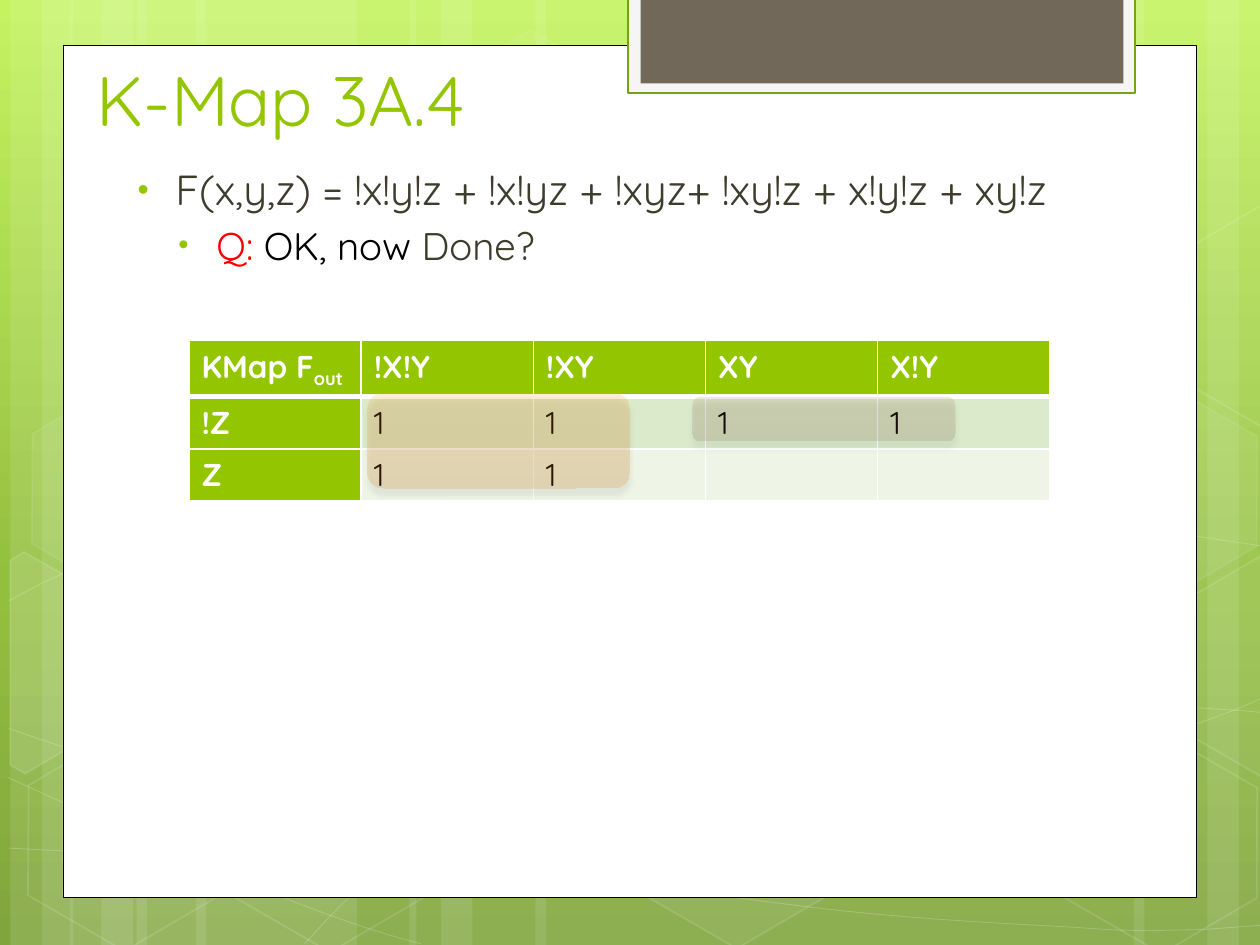
from lxml import etree
from pptx import Presentation
from pptx.dml.color import RGBColor
from pptx.enum import shapes as kinds, text as txt
from pptx.oxml.ns import qn
from pptx.util import Pt

FONT = "Quicksand"
WHITE = RGBColor(0xFF, 0xFF, 0xFF)
BLACK = RGBColor(0x00, 0x00, 0x00)
RED = RGBColor(0xFF, 0x00, 0x00)
LIME = RGBColor(0x94, 0xC6, 0x00)
OLIVE = RGBColor(0x3E, 0x3D, 0x2D)
TAB_PALE = RGBColor(0xF5, 0xF5, 0xF5)
TAB_EDGE = RGBColor(0x74, 0xA5, 0x10)
TAB_BROWN = RGBColor(0x71, 0x68, 0x5A)
ROW_TINTS = [RGBColor(0xDC, 0xEA, 0xCC), RGBColor(0xEE, 0xF5, 0xE7)]
SKY = [(0, RGBColor(0xC3, 0xF3, 0x5F)), (62, RGBColor(0x93, 0xBF, 0x3F)), (100, RGBColor(0x81, 0xA5, 0x3E))]
ORANGE = [(0, RGBColor(0xFE, 0xA0, 0x22)), (100, RGBColor(0xDB, 0x82, 0x0A))]
BROWN = [(0, RGBColor(0x95, 0x6B, 0x43)), (100, RGBColor(0x7D, 0x55, 0x2F))]

STRIPS = [(78, 126), (6, 36), (24, 60), (112, 126), (40, 36), (58, 60), (528, 126),
          (690, 36), (648, 60), (306, 222), (234, 36), (252, 60)]
WAVES = [
    [(5, 484.6), (43.9, 486.7), (82.8, 488.9), (136.8, 488.2), (190.8, 487.4), (257.8, 486), (329.8, 478.8),
     (401.8, 471.6), (504, 457.9), (570.2, 444.2), (635.8, 430.6), (703.4, 409), (725, 396.7)],
    [(5, 343.4), (25.9, 331.9), (46.8, 321.1), (87.1, 310.3), (128.2, 299.5), (186.5, 283.7), (249.8, 278.6),
     (313.9, 273.6), (391.7, 272.9), (470.9, 278.6), (550.1, 284.4), (681.8, 306.7), (725, 312.5)],
    [(4.3, 444.2), (91.4, 483.8), (177.8, 523.4), (240.5, 539.3)],
    [(5, 416.2), (27.4, 424.1), (50.4, 432), (92.2, 443.5), (133.9, 454.3), (196.6, 472.3), (257, 484.6),
     (316.8, 496.8), (392.4, 509.8), (452.2, 517), (511.9, 524.9), (576, 527.8), (614.2, 529.9),
     (651.6, 532.8), (661.7, 531.4), (680.4, 531.4), (699.1, 530.6), (712.1, 529.2), (725, 528.5)],
    [(174.2, 539.3), (187.2, 524.9), (200.2, 510.5), (217.4, 497.5), (234.7, 484.6), (259.2, 470.2), (279.4, 460.1),
     (299.5, 450), (311.8, 445.7), (338.4, 438.5), (364.3, 431.3), (412.6, 421.2), (437.8, 416.2),
     (463.7, 411.1), (467.3, 411.1), (489.6, 409.7), (511.9, 407.5), (547.2, 405.4), (571.7, 404.6),
     (596.9, 403.9), (637.9, 404.6), (637.9, 404.6), (654, 404.6), (670, 404.6), (686.2, 404.6),
     (699.1, 405.4), (711.4, 406.1), (717.8, 406.8), (724.3, 407.5), (722.2, 406.8), (724.3, 407.5)],
]
HEXAGONS = [(240.5, 25.9, 4, 8), (357.8, 424.1, 6, 12), (7.9, 425.5, 0, 12), (10.1, 224.6, 7, 8),
            (125.3, 426.2, 0, 12), (542.2, 326.2, 10, 12), (600.5, 427, 0, 12), (600.5, 226.1, 7, 8)]
CUT_HEXAGONS = [
    ([(5.8, 320.4), (13.7, 315.4), (69.1, 347), (68.4, 410.4), (14.4, 442.1), (5.8, 437)], 10),
    ([(666.7, 349.2), (720.7, 317.5), (726.5, 321.1), (726.5, 441.4), (721.4, 444.2), (666.7, 412.6)], 4),
    ([(666.7, 149), (720.7, 117.4), (727.2, 121), (726.5, 241.2), (721.4, 244.1), (666.7, 212.4)], 0),
]
KMAP = [["KMap F", "!X!Y", "!XY", "XY", "X!Y"], ["!Z", "1", "1", "1", "1"], ["Z", "1", "1", "", ""]]


def add(parent, tag, **attributes):
    """Append a drawing element with the given attributes."""
    return etree.SubElement(parent, qn(tag), {key: str(value) for key, value in attributes.items()})


def set_gradient(fill, holder, stops, opacity=100):
    """Give a fill a top-to-bottom gradient."""
    fill.gradient()
    fill.gradient_angle = 270
    stop_list = holder.find(".//" + qn("a:gsLst"))
    for old in list(stop_list):
        stop_list.remove(old)
    for position, color in stops:
        tint = add(add(stop_list, "a:gs", pos=position * 1000), "a:srgbClr", val=color)
        if opacity < 100:
            add(tint, "a:alpha", val=opacity * 1000)


def paint(shape, fill=None, opacity=100, line=None, width=1, line_opacity=100):
    """Set fill, outline and their opacities, without shadow."""
    shape.shadow.inherit = False
    for target, color, amount, route in ((shape.fill, fill, opacity, "a:solidFill"),
                                         (shape.line.fill, line, line_opacity, "a:ln/a:solidFill")):
        if color is None or not amount:
            target.background()
            continue
        target.solid()
        target.fore_color.rgb = color
        if amount < 100:
            solid = shape.element.spPr.find("/".join(qn(step) for step in route.split("/")))
            add(solid[0], "a:alpha", val=amount * 1000)
    if line is not None:
        shape.line.width = Pt(width)


def add_preset(slide, kind, left, top, width, height):
    """Add a preset shape measured in points."""
    return slide.shapes.add_shape(kind, Pt(left), Pt(top), Pt(width), Pt(height))


def add_outline(slide, points, left, top, close):
    """Add a freeform through points offset from a corner."""
    corners = [(Pt(left + x), Pt(top + y)) for x, y in points]
    builder = slide.shapes.build_freeform(*corners[0], scale=1.0)
    builder.add_line_segments(corners[1:], close=close)
    return builder.convert_to_shape()


def add_wave(slide, points, left, top):
    """Add an open chain of cubic curves."""
    wave = add_outline(slide, points, left, top, False)
    segments = list(wave.element.iter(qn("a:lnTo")))
    outline = segments[0].getparent()
    for start in range(0, len(segments), 3):
        curve = add(outline, "a:cubicBezTo")
        for segment in segments[start:start + 3]:
            curve.append(segment[0])
            outline.remove(segment)
    return wave


def draw_backdrop(slide, left, top, width, height):
    """Draw the green backdrop with strips, waves and hexagons."""
    set_gradient(slide.background.fill, slide.element, SKY)
    for x, strip_width in STRIPS:
        paint(add_preset(slide, kinds.MSO_SHAPE.RECTANGLE, left + x, top, strip_width, height), WHITE, 10)
    for points in WAVES:
        paint(add_wave(slide, points, left, top), line=WHITE, width=0.5, line_opacity=20)
    for x, y, opacity, edge in HEXAGONS:
        hexagon = add_preset(slide, kinds.MSO_SHAPE.HEXAGON, left + x, top + y, 126, 109.4)
        hexagon.adjustments[0] = 0.285
        hexagon.rotation = 30
        paint(hexagon, WHITE, opacity, WHITE, 1, edge)
    for corners, opacity in CUT_HEXAGONS:
        paint(add_outline(slide, corners, left, top, True), WHITE, opacity, WHITE, 1, 12)


def draw_panel(slide, left, top, width, height):
    """Draw the white page and the tab at its top edge."""
    rectangle = kinds.MSO_SHAPE.RECTANGLE
    paint(add_preset(slide, rectangle, left, top, width, height), WHITE, line=BLACK, width=0.5)
    paint(add_preset(slide, rectangle, left + 323, top - 27.4, 289.5, 54.7), TAB_PALE, line=TAB_EDGE, width=1.25)
    paint(add_preset(slide, rectangle, left + 330, top - 27.4, 276, 49), TAB_BROWN)


def place(placeholder, left, top, width, height, anchor):
    """Move a placeholder to a box, in front of everything so far."""
    placeholder.left, placeholder.top = Pt(left), Pt(top)
    placeholder.width, placeholder.height = Pt(width), Pt(height)
    placeholder.element.getparent().append(placeholder.element)
    frame = placeholder.text_frame
    frame.word_wrap = True
    frame.auto_size = txt.MSO_AUTO_SIZE.NONE
    frame.vertical_anchor = anchor
    return frame


def set_font(font, size, color=None, bold=False):
    """Set the deck's typeface with size, colour and weight."""
    font.name, font.size, font.bold = FONT, Pt(size), bold
    if color is not None:
        font.color.rgb = color


def write_title(slide, *box):
    """Write the slide title."""
    heading = place(slide.shapes.title, *box, txt.MSO_ANCHOR.BOTTOM).paragraphs[0]
    heading.text = "K-Map 3A.4"
    heading.alignment = txt.PP_ALIGN.LEFT
    set_font(heading.font, 40, LIME)


def write_body(slide, *box):
    """Write the formula and the question under it."""
    frame = place(slide.placeholders[1], *box, txt.MSO_ANCHOR.TOP)
    formula = [("F(x,y,z) = !x!y!z + !x!yz + !xyz+ !xy!z + x!y!z + xy!z", OLIVE)]
    question = [("Q: ", RED), ("OK, now ", BLACK), ("Done?", OLIVE)]
    for level, (parts, size, margin, gap) in enumerate([(formula, 24, 27, 0), (question, 22, 50.4, 4.4)]):
        item = frame.add_paragraph() if level else frame.paragraphs[0]
        item.level = level
        item.space_before = Pt(gap)
        props = item._p.get_or_add_pPr()
        props.set("marL", str(Pt(margin)))
        props.set("indent", str(Pt(-21.6)))
        add(add(props, "a:buClr"), "a:srgbClr", val=LIME)
        add(props, "a:buSzPct", val=76000)
        add(props, "a:buFont", typeface="Arial")
        add(props, "a:buChar", char="•")
        set_font(item.font, size)
        for words, color in parts:
            run = item.add_run()
            run.text = words
            run.font.color.rgb = color


def draw_kmap(slide, left, top, width, height):
    """Draw the Karnaugh map and the loops around its groups."""
    frame = slide.shapes.add_table(len(KMAP), len(KMAP[0]), Pt(left), Pt(top), Pt(width), Pt(height))
    for r, row in enumerate(KMAP):
        for c, words in enumerate(row):
            cell = frame.table.cell(r, c)
            heading = r == 0 or c == 0
            props = cell._tc.get_or_add_tcPr()
            for side in "LRTB":
                thick = (r, side) in ((0, "B"), (1, "T"))
                edge = add(props, "a:ln" + side, w=Pt(3 if thick else 1))
                add(add(edge, "a:solidFill"), "a:srgbClr", val=WHITE)
            cell.fill.solid()
            cell.fill.fore_color.rgb = LIME if heading else ROW_TINTS[r - 1]
            label = cell.text_frame.paragraphs[0]
            set_font(label.font, 18, WHITE if heading else BLACK, heading)
            if words:
                label.add_run().text = words
    subscript = frame.table.cell(0, 0).text_frame.paragraphs[0].add_run()
    subscript.text = "out"
    subscript._r.get_or_add_rPr().set("baseline", "-25000")
    for x, y, loop_height, stops, opacity in ((102, 30.2, 54.3, ORANGE, 19), (287.8, 32.4, 25.2, BROWN, 15)):
        loop = add_preset(slide, kinds.MSO_SHAPE.ROUNDED_RECTANGLE, left + x, top + y, 150, loop_height)
        paint(loop)
        set_gradient(loop.fill, loop.element, stops, opacity)
        shadow = add(loop.element.spPr.find(qn("a:effectLst")), "a:outerShdw",
                     blurRad=Pt(3.5), dist=Pt(4), dir=5400000, rotWithShape=0)
        add(add(shadow, "a:srgbClr", val=BLACK), "a:alpha", val=34000)


def main():
    """Build the slide and save it."""
    deck = Presentation()
    deck.slide_width, deck.slide_height = Pt(720), Pt(540)
    slide = deck.slides.add_slide(deck.slide_layouts[1])
    draw_backdrop(slide, 0, 0, 720, 540)
    draw_panel(slide, 36, 26, 648, 487)
    write_title(slide, 48, -6, 553, 90)
    write_body(slide, 66, 90, 606, 276.5)
    draw_kmap(slide, 108, 194.4, 492, 87.8)
    deck.save("out.pptx")


if __name__ == "__main__":
    main()
